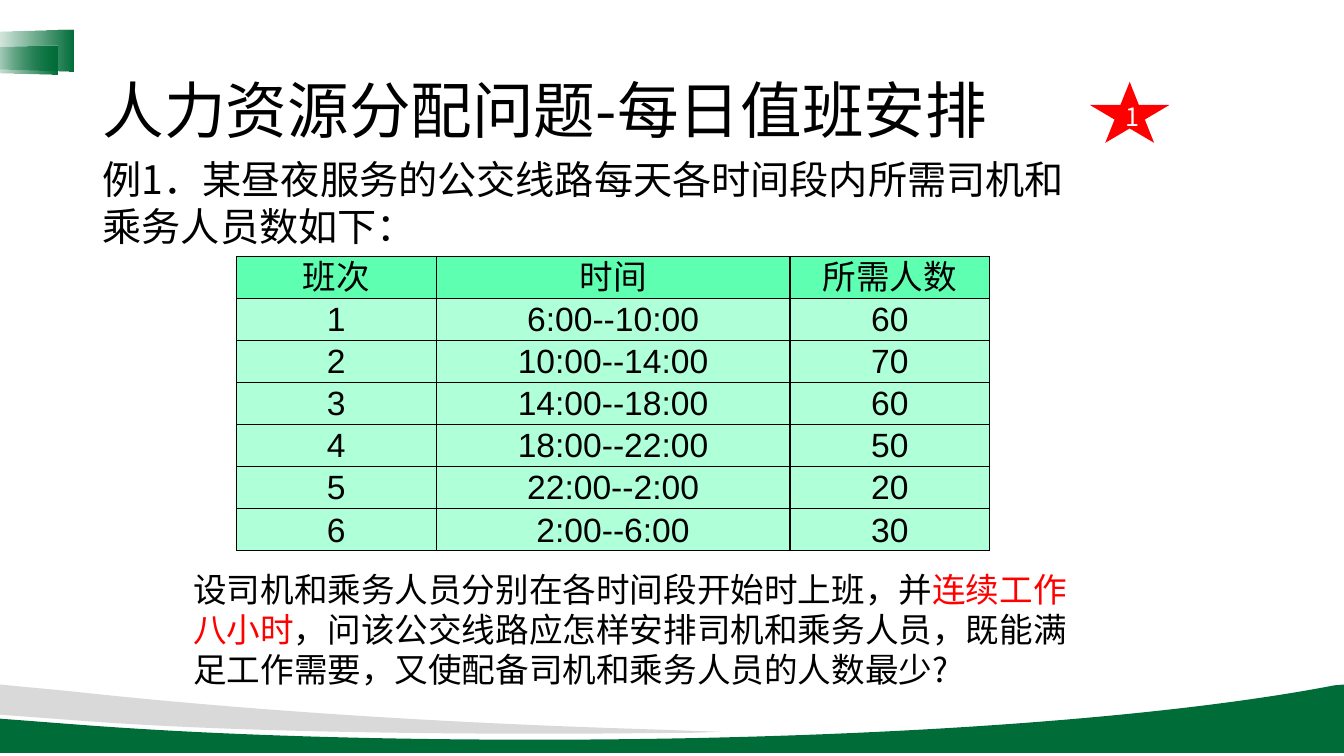
from lxml.etree import SubElement
from pptx import Presentation
from pptx.dml.color import RGBColor
from pptx.enum.shapes import MSO_SHAPE as Preset
from pptx.enum.text import MSO_ANCHOR as Anchor, PP_ALIGN as Align
from pptx.oxml import parse_xml
from pptx.oxml.ns import nsdecls, qn
from pptx.util import Cm, Pt

# Content: each line is a list of (text, colour) runs
TITLE = [[("人力资源分配问题-每日值班安排", "ink")]]
EXAMPLE = [
    [("例1．某昼夜服务的公交线路每天各时间段内所需司机和", "ink")],
    [("乘务人员数如下：", "ink")],
]
QUESTION = [
    [("设司机和乘务人员分别在各时间段开始时上班，并", "ink"), ("连续工作", "accent")],
    [("八小时", "accent"), ("，问该公交线路应怎样安排司机和乘务人员，既能满", "ink")],
    [("足工作需要，又使配备司机和乘务人员的人数最少?", "ink")],
]
SHIFTS = [
    ("班次", "时间", "所需人数"),
    ("1", "6:00--10:00", "60"),
    ("2", "10:00--14:00", "70"),
    ("3", "14:00--18:00", "60"),
    ("4", "18:00--22:00", "50"),
    ("5", "22:00--2:00", "20"),
    ("6", "2:00--6:00", "30"),
]
STAR_NUMBER = "1"

THEME = {
    "ink": "000000", "accent": "FF0000", "paper": "FFFFFF",
    "green": "006D39", "grey": "D9D9D9", "head": "5FFFB2", "row": "AFFFD9",
    "title": 44, "body": 28, "small": 24, "badge": 18,
    "cjk": "Noto Sans CJK SC", "latin": "Arial",
}

# Footer waves in cm: one point is a straight step, three points a curve
GREEN_WAVE = [
    [(33.87, 17.25)], [(33.87, 18.97)], [(0, 18.97)], [(0, 18.11)], [(1.96, 18.26)],
    [(5.38, 18.52), (9.32, 18.64), (13.51, 18.64)],
    [(21.89, 18.64), (29.29, 18.11), (33.63, 17.27)],
]
GREY_WAVE = [
    [(0, 17.25)], [(1.78, 17.42)],
    [(5.82, 17.86), (10.59, 18.19), (15.8, 18.36)],
    [(18.16, 18.44)], [(17.37, 18.47)],
    [(16.26, 18.47), (15.09, 18.49), (13.92, 18.49)],
    [(9.17, 18.49), (4.88, 18.39), (1.75, 18.14)],
    [(0, 18.01)],
]

# Corner ribbons: left, top, width, height in cm before rotation
RIBBONS = [(0.2, 0.15, 1.04, 2.24), (0.15, 0.58, 0.74, 1.85)]

# Table measures in cm
COLUMN_WIDTHS = [5.03, 8.92, 5.03]
ROW_HEIGHT = 1.06
CELL_INSET = 0.03


def colour(name):
    return RGBColor.from_string(THEME[name])


def style_run(run, size, ink, face="cjk"):
    run.font.size = Pt(THEME[size])
    run.font.color.rgb = colour(ink)
    run.font.name = THEME[face]
    SubElement(run.font._element, qn("a:ea")).set("typeface", THEME[face])


def add_text(slide, box, lines, size, spacing=1.0, hang=0, anchor=Anchor.TOP):
    frame = slide.shapes.add_textbox(*map(Cm, box)).text_frame
    frame.word_wrap = True
    frame.vertical_anchor = anchor
    for index, line in enumerate(lines):
        paragraph = frame.add_paragraph() if index else frame.paragraphs[0]
        paragraph.line_spacing = spacing
        if hang:
            properties = paragraph._p.get_or_add_pPr()
            properties.set("marL", str(Cm(hang)))
            properties.set("indent", str(-Cm(hang)))
        for text, ink in line:
            run = paragraph.add_run()
            run.text = text
            style_run(run, size, ink)


def add_wave(slide, segments, fill):
    start, *rest = [(Cm(x), Cm(y)) for segment in segments for x, y in segment]
    builder = slide.shapes.build_freeform(*start)
    builder.add_line_segments(rest, close=True)
    wave = builder.convert_to_shape()
    # Turn each run of three line steps into one curve
    steps = iter(list(wave._element.iter(qn("a:lnTo"))))
    for segment in segments[1:]:
        first, *others = [next(steps) for _ in segment]
        if others:
            first.tag = qn("a:cubicBezTo")
            for step in others:
                first.append(step[0])
                step.getparent().remove(step)
    wave.shadow.inherit = False
    wave.fill.solid()
    wave.fill.fore_color.rgb = colour(fill)
    wave.line.fill.background()


def add_ribbon(slide, box):
    ribbon = slide.shapes.add_shape(Preset.TRAPEZOID, *map(Cm, box))
    ribbon.adjustments[0] = 0.07
    ribbon.rotation = 270
    ribbon.shadow.inherit = False
    ribbon.line.fill.background()
    # Fades in from clear at the slide edge
    ribbon.fill.gradient()
    ribbon.fill.gradient_angle = 270
    for stop in ribbon.fill.gradient_stops:
        stop.color.rgb = colour("green")
    clear = ribbon.fill.gradient_stops[0]._gs.find(qn("a:srgbClr"))
    SubElement(clear, qn("a:alpha")).set("val", "0")


def add_shift_table(slide, left, top):
    table = slide.shapes.add_table(
        len(SHIFTS), len(COLUMN_WIDTHS), Cm(left), Cm(top),
        Cm(sum(COLUMN_WIDTHS)), Cm(ROW_HEIGHT * len(SHIFTS))).table
    table.first_row = table.horz_banding = False
    for column, width in zip(table.columns, COLUMN_WIDTHS):
        column.width = Cm(width)
    for r, shift in enumerate(SHIFTS):
        table.rows[r].height = Cm(ROW_HEIGHT)
        for c, text in enumerate(shift):
            cell = table.cell(r, c)
            for side in ("lnL", "lnR", "lnT", "lnB"):
                cell._tc.get_or_add_tcPr().append(parse_xml(
                    f'<a:{side} {nsdecls("a")} w="{Pt(1)}"><a:solidFill>'
                    f'<a:srgbClr val="{THEME["ink"]}"/></a:solidFill></a:{side}>'))
            cell.fill.solid()
            cell.fill.fore_color.rgb = colour("row" if r else "head")
            cell.margin_left = cell.margin_right = cell.margin_top = Cm(CELL_INSET)
            cell.margin_bottom = 0
            cell.vertical_anchor = Anchor.MIDDLE
            paragraph = cell.text_frame.paragraphs[0]
            paragraph.text = text
            paragraph.alignment = Align.CENTER
            style_run(paragraph.runs[0], "small", "ink", "latin")


def add_star(slide, box):
    star = slide.shapes.add_shape(Preset.STAR_5_POINT, *map(Cm, box))
    star.shadow.inherit = False
    star.fill.solid()
    star.fill.fore_color.rgb = star.line.color.rgb = colour("accent")
    star.line.width = Pt(1)
    SubElement(star.line._get_or_add_ln(), qn("a:miter")).set("lim", "800000")
    star.text_frame.vertical_anchor = Anchor.MIDDLE
    paragraph = star.text_frame.paragraphs[0]
    paragraph.text = STAR_NUMBER
    paragraph.alignment = Align.CENTER
    style_run(paragraph.runs[0], "badge", "paper")


def main():
    deck = Presentation()
    deck.slide_width, deck.slide_height = Cm(33.87), Cm(19.05)
    slide = deck.slides.add_slide(deck.slide_layouts[6])

    # Background decoration
    add_wave(slide, GREEN_WAVE, "green")
    add_wave(slide, GREY_WAVE, "grey")
    for ribbon in RIBBONS:
        add_ribbon(slide, ribbon)

    # Title, example, question
    add_text(slide, (2.34, 1.02, 29.21, 3.68), TITLE, "title", 0.9, anchor=Anchor.MIDDLE)
    add_text(slide, (2.34, 3.78, 29.21, 12.09), EXAMPLE, "body", hang=0.64)
    add_text(slide, (4.62, 14.2, 22.63, 3.33), QUESTION, "small", hang=0.97)

    # Shift table and numbered star
    add_shift_table(slide, 5.96, 6.46)
    add_star(slide, (27.53, 2.11, 1.88, 1.45))

    deck.save("out.pptx")


if __name__ == "__main__":
    main()
